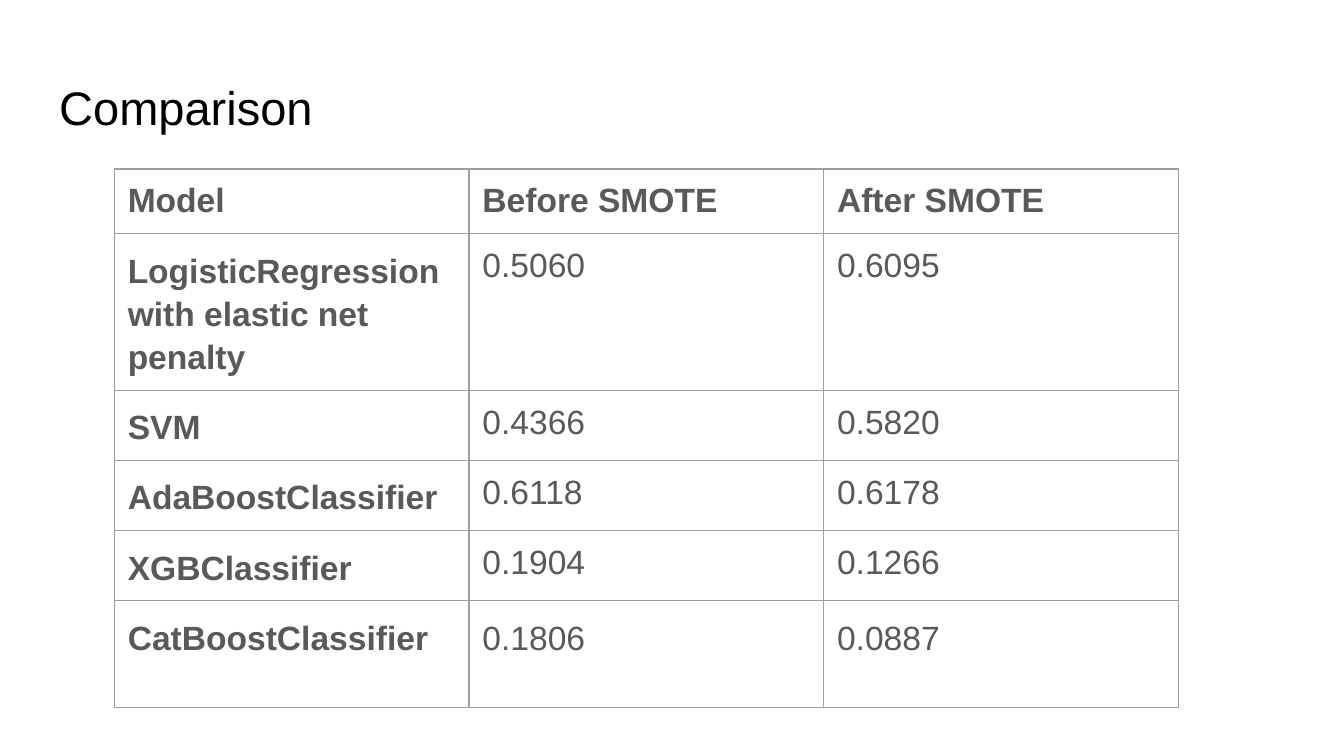
from dataclasses import dataclass

from lxml.etree import SubElement
from pptx import Presentation
from pptx.dml.color import RGBColor
from pptx.enum.text import MSO_ANCHOR, MSO_AUTO_SIZE, PP_ALIGN
from pptx.oxml.ns import qn
from pptx.util import Pt


@dataclass(frozen=True)
class Theme:
    font: str = "Arial"
    title_color: str = "000000"
    text_color: str = "595959"
    border_color: str = "9E9E9E"
    title_size: float = 25.2
    table_size: float = 18
    border_width: float = 0.75
    inset: float = 7.2


theme = Theme()

HEADER = ("Model", "Before SMOTE", "After SMOTE")
SCORES = [
    ("LogisticRegression with elastic net penalty", "0.5060", "0.6095"),
    ("SVM", "0.4366", "0.5820"),
    ("AdaBoostClassifier", "0.6118", "0.6178"),
    ("XGBClassifier", "0.1904", "0.1266"),
    ("CatBoostClassifier", "0.1806", "0.0887"),
]
ROWS = [HEADER] + SCORES
ROW_HEIGHTS = (34.4, 84, 37.5, 37.5, 37.5, 57.4)
COLUMN_WIDTH = 190


def add_run(paragraph, text, size, color, bold=False):
    run = paragraph.add_run()
    run.text = text
    run.font.name = theme.font
    run.font.size = Pt(size)
    run.font.bold = bold
    run.font.color.rgb = RGBColor.from_string(color)


def set_borders(cell):
    """Draw the four sides of the cell; call before setting its fill."""
    properties = cell._tc.get_or_add_tcPr()
    for side in ("a:lnL", "a:lnR", "a:lnT", "a:lnB"):
        line = SubElement(properties, qn(side), w=str(Pt(theme.border_width)))
        fill = SubElement(line, qn("a:solidFill"))
        SubElement(fill, qn("a:srgbClr"), val=theme.border_color)


presentation = Presentation()
presentation.slide_width = Pt(720)
presentation.slide_height = Pt(405)
slide = presentation.slides.add_slide(presentation.slide_layouts[5])

# Title
title = slide.shapes.title
title.left, title.top, title.width, title.height = Pt(24.5), Pt(35), Pt(671), Pt(45)
frame = title.text_frame
frame.auto_size = MSO_AUTO_SIZE.NONE
frame.word_wrap = True
frame.vertical_anchor = MSO_ANCHOR.TOP
frame.margin_left = frame.margin_right = Pt(theme.inset)
frame.margin_top = frame.margin_bottom = Pt(theme.inset)
paragraph = frame.paragraphs[0]
paragraph.alignment = PP_ALIGN.LEFT
add_run(paragraph, "Comparison", theme.title_size, theme.title_color)

# Score table
table = slide.shapes.add_table(
    len(ROWS), len(HEADER), Pt(61.25), Pt(90.5),
    Pt(COLUMN_WIDTH * len(HEADER)), Pt(sum(ROW_HEIGHTS)),
).table
table.first_row = False
table.horz_banding = False
for column in table.columns:
    column.width = Pt(COLUMN_WIDTH)

last_row = len(ROWS) - 1
for row_index, (values, height) in enumerate(zip(ROWS, ROW_HEIGHTS)):
    table.rows[row_index].height = Pt(height)
    for column_index, value in enumerate(values):
        is_header = row_index == 0
        is_model = column_index == 0
        cell = table.cell(row_index, column_index)
        set_borders(cell)
        cell.fill.background()
        cell.margin_left = cell.margin_right = Pt(theme.inset)
        cell.margin_top = cell.margin_bottom = Pt(theme.inset)
        paragraph = cell.text_frame.paragraphs[0]
        if not is_header and (is_model or row_index == last_row):
            paragraph.line_spacing = 1.15
        if not is_header and is_model:
            paragraph.space_before = Pt(6)
            paragraph.space_after = Pt(12)
        add_run(paragraph, value, theme.table_size, theme.text_color,
                bold=is_header or is_model)

presentation.save("out.pptx")
